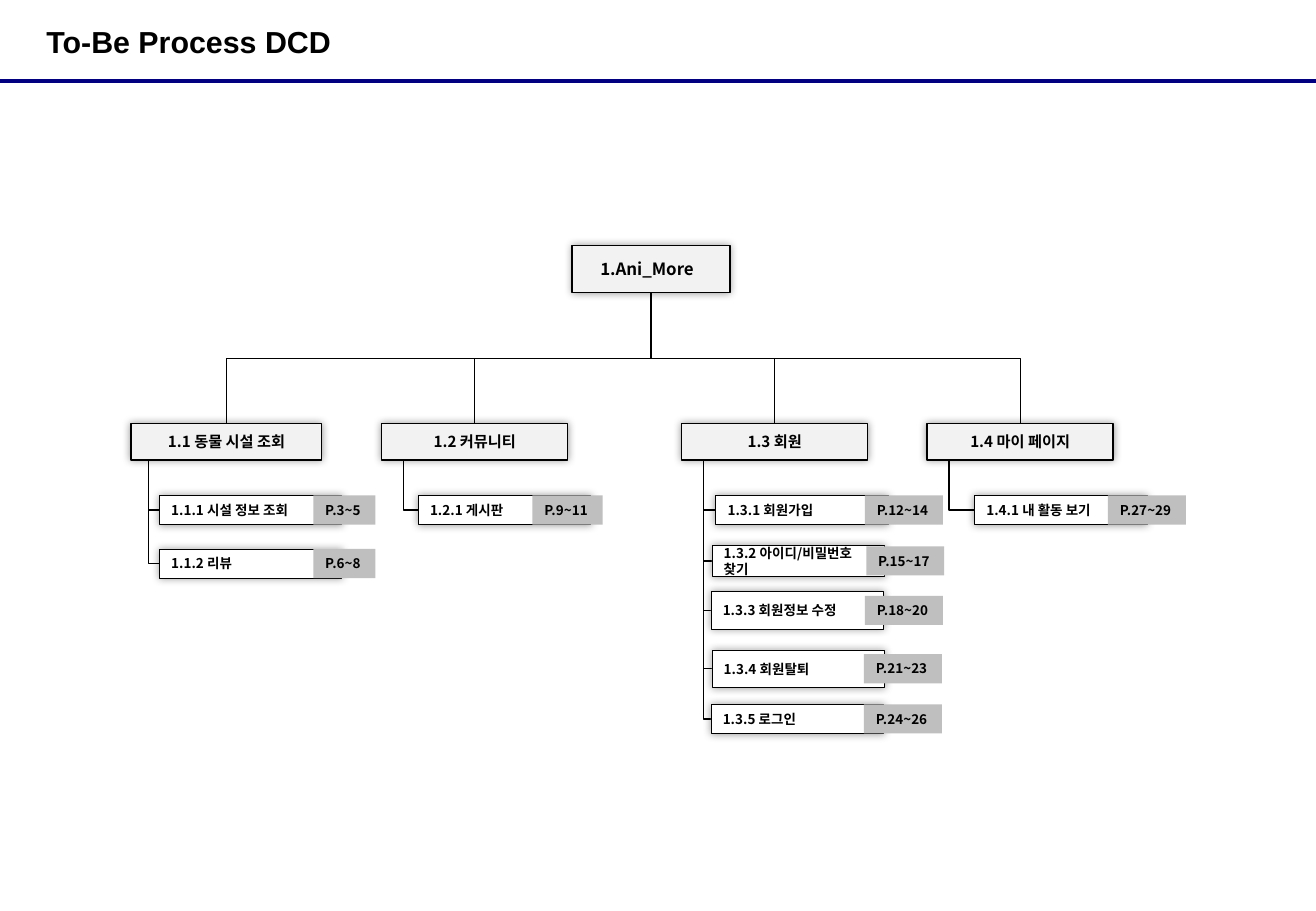
from lxml import etree
from pptx import Presentation
from pptx.dml.color import RGBColor
from pptx.enum.shapes import MSO_CONNECTOR, MSO_SHAPE
from pptx.enum.text import MSO_ANCHOR, MSO_AUTO_SIZE, PP_ALIGN
from pptx.oxml.ns import qn
from pptx.util import Cm, Pt

BLACK = RGBColor(0x00, 0x00, 0x00)
WHITE = RGBColor(0xFF, 0xFF, 0xFF)
NAVY = RGBColor(0x00, 0x00, 0x80)
LIGHT_GRAY = RGBColor(0xF2, 0xF2, 0xF2)
TAG_GRAY = RGBColor(0xBF, 0xBF, 0xBF)

RECTANGLE = MSO_SHAPE.RECTANGLE
STRAIGHT, ELBOW = MSO_CONNECTOR.STRAIGHT, MSO_CONNECTOR.ELBOW
LEFT, CENTER = PP_ALIGN.LEFT, PP_ALIGN.CENTER
TOP, MIDDLE = MSO_ANCHOR.TOP, MSO_ANCHOR.MIDDLE
FIT_SHAPE = MSO_AUTO_SIZE.SHAPE_TO_FIT_TEXT

KOREAN_FONT = "Noto Sans CJK KR"
SLIDE_WIDTH, SLIDE_HEIGHT = 27.51, 19.05
INSETS = (0.25, 0.13, 0.25, 0.13)

ROOT = (11.96, 5.13, 3.3, 0.99)
BRANCH_TOP, BRANCH_HEIGHT = 8.86, 0.76
TAG_HEIGHT = 0.61
TAG_WIDTHS = {5: 1.3, 6: 1.47, 7: 1.63}  # by number of characters

# Branch: title, left, width, trunk x, items
# Item: title, left, top, width, height, page tag, tag left
BRANCHES = [
    ("1.1 동물 시설 조회", 2.74, 3.99, 3.1, [
        ("1.1.1 시설 정보 조회", 3.33, 10.36, 3.81, 0.61, "P.3~5", 6.55),
        ("1.1.2 리뷰", 3.33, 11.48, 3.81, 0.61, "P.6~8", 6.55),
    ]),
    ("1.2 커뮤니티", 7.98, 3.89, 8.43, [
        ("1.2.1 게시판", 8.74, 10.36, 3.61, 0.61, "P.9~11", 11.13),
    ]),
    ("1.3 회원", 14.25, 3.89, 14.71, [
        ("1.3.1 회원가입", 14.96, 10.36, 3.61, 0.61, "P.12~14", 18.08),
        ("1.3.2 아이디/비밀번호 찾기", 14.88, 11.4, 3.61, 0.66, "P.15~17", 18.11),
        ("1.3.3 회원정보 수정", 14.86, 12.37, 3.61, 0.79, "P.18~20", 18.08),
        ("1.3.4 회원탈퇴", 14.88, 13.59, 3.61, 0.79, "P.21~23", 18.06),
        ("1.3.5 로그인", 14.86, 14.73, 3.61, 0.61, "P.24~26", 18.06),
    ]),
    ("1.4 마이 페이지", 19.38, 3.89, 19.84, [
        ("1.4.1 내 활동 보기", 20.37, 10.36, 3.61, 0.61, "P.27~29", 23.16),
    ]),
]


def write_text(shape, text, size, font=KOREAN_FONT, align=LEFT, anchor=MIDDLE,
               insets=INSETS, wrap=True):
    frame = shape.text_frame
    left, top, right, bottom = (Cm(inset) for inset in insets)
    frame_format = {"word_wrap": wrap, "vertical_anchor": anchor,
                    "margin_left": left, "margin_top": top,
                    "margin_right": right, "margin_bottom": bottom}
    for name, value in frame_format.items():
        setattr(frame, name, value)
    paragraph = frame.paragraphs[0]
    paragraph.alignment = align
    run = paragraph.add_run()
    run.text = text
    for name, value in {"name": font, "size": Pt(size), "bold": True}.items():
        setattr(run.font, name, value)
    run.font.color.rgb = BLACK
    east_asian = etree.SubElement(run._r.get_or_add_rPr(), qn("a:ea"))
    east_asian.set("typeface", font)


def add_rectangle(slide, box, fill):
    shape = slide.shapes.add_shape(RECTANGLE, *(Cm(length) for length in box))
    shape.shadow.inherit = False
    shape.fill.solid()
    shape.fill.fore_color.rgb = fill
    shape.line.fill.background()
    return shape


def add_glow_shadow(shape):
    """Give the shape a soft black shadow spreading evenly on all sides."""
    effects = shape._element.spPr.find(qn("a:effectLst"))
    shadow = etree.SubElement(effects, qn("a:outerShdw"), blurRad=str(Pt(5)),
                              algn="ctr", rotWithShape="0")
    color = etree.SubElement(shadow, qn("a:srgbClr"), val=str(BLACK))
    etree.SubElement(color, qn("a:alpha"), val="40000")


def add_box(slide, box, text, size, fill, line_width, **text_format):
    shape = add_rectangle(slide, box, fill)
    shape.line.color.rgb = BLACK
    shape.line.width = Pt(line_width)
    add_glow_shadow(shape)
    write_text(shape, text, size, **text_format)


def add_page_tag(slide, text, left, middle):
    box = (left, middle - TAG_HEIGHT / 2, TAG_WIDTHS[len(text)], TAG_HEIGHT)
    shape = add_rectangle(slide, box, TAG_GRAY)
    write_text(shape, text, 8, anchor=TOP, wrap=False)
    shape.text_frame.auto_size = FIT_SHAPE


def add_line(slide, kind, start, end, color, width):
    points = (Cm(length) for length in (*start, *end))
    connector = slide.shapes.add_connector(kind, *points)
    connector.line.color.rgb = color
    connector.line.width = Pt(width)
    etree.SubElement(connector._element.spPr, qn("a:effectLst"))
    return connector


def add_elbow(slide, start, end, preset):
    """Draw an elbow that leaves its start downwards."""
    (start_x, start_y), (end_x, end_y) = start, end
    across, down = abs(end_x - start_x), end_y - start_y
    center_x, center_y = (start_x + end_x) / 2, (start_y + end_y) / 2
    # The frame is laid out sideways, then turned a quarter about its centre.
    left, top = center_x - down / 2, center_y - across / 2
    connector = add_line(slide, ELBOW, (left, top),
                         (left + down, top + across), BLACK, 0.75)
    properties = connector._element.spPr
    properties.find(qn("a:prstGeom")).set("prst", preset)
    frame = properties.find(qn("a:xfrm"))
    if end_x > start_x:
        frame.set("rot", "16200000")
        frame.set("flipH", "1")
    else:
        frame.set("rot", "5400000")


def add_heading(slide):
    add_line(slide, STRAIGHT, (0, 1.7), (SLIDE_WIDTH, 1.7), NAVY, 2.25)
    box = (0.97, 0, 17.98, 1.73)
    title = slide.shapes.add_textbox(*(Cm(length) for length in box))
    write_text(title, "To-Be Process DCD", 18, font="Arial", insets=(0, 0, 0, 0))


def add_root(slide):
    add_box(slide, ROOT, "1.Ani_More", 10, LIGHT_GRAY, 0.75, align=CENTER,
            insets=(0.08, 0.13, 0.25, 0.13))


def add_branch(slide, title, left, width, trunk_x, items):
    root_left, root_top, root_width, root_height = ROOT
    add_elbow(slide, (root_left + root_width / 2, root_top + root_height),
              (left + width / 2, BRANCH_TOP), "bentConnector3")
    for _, item_left, top, _, height, _, _ in items:
        add_elbow(slide, (trunk_x, BRANCH_TOP + BRANCH_HEIGHT),
                  (item_left, top + height / 2), "bentConnector2")
    add_box(slide, (left, BRANCH_TOP, width, BRANCH_HEIGHT), title, 9,
            LIGHT_GRAY, 0.75, align=CENTER)
    for text, item_left, top, item_width, height, pages, tag_left in items:
        add_box(slide, (item_left, top, item_width, height), text, 8, WHITE, 0.25)
        add_page_tag(slide, pages, tag_left, top + height / 2)


def main():
    presentation = Presentation()
    presentation.slide_width = Cm(SLIDE_WIDTH)
    presentation.slide_height = Cm(SLIDE_HEIGHT)
    slide = presentation.slides.add_slide(presentation.slide_layouts[6])
    add_heading(slide)
    add_root(slide)
    for branch in BRANCHES:
        add_branch(slide, *branch)
    presentation.save("out.pptx")


if __name__ == "__main__":
    main()
